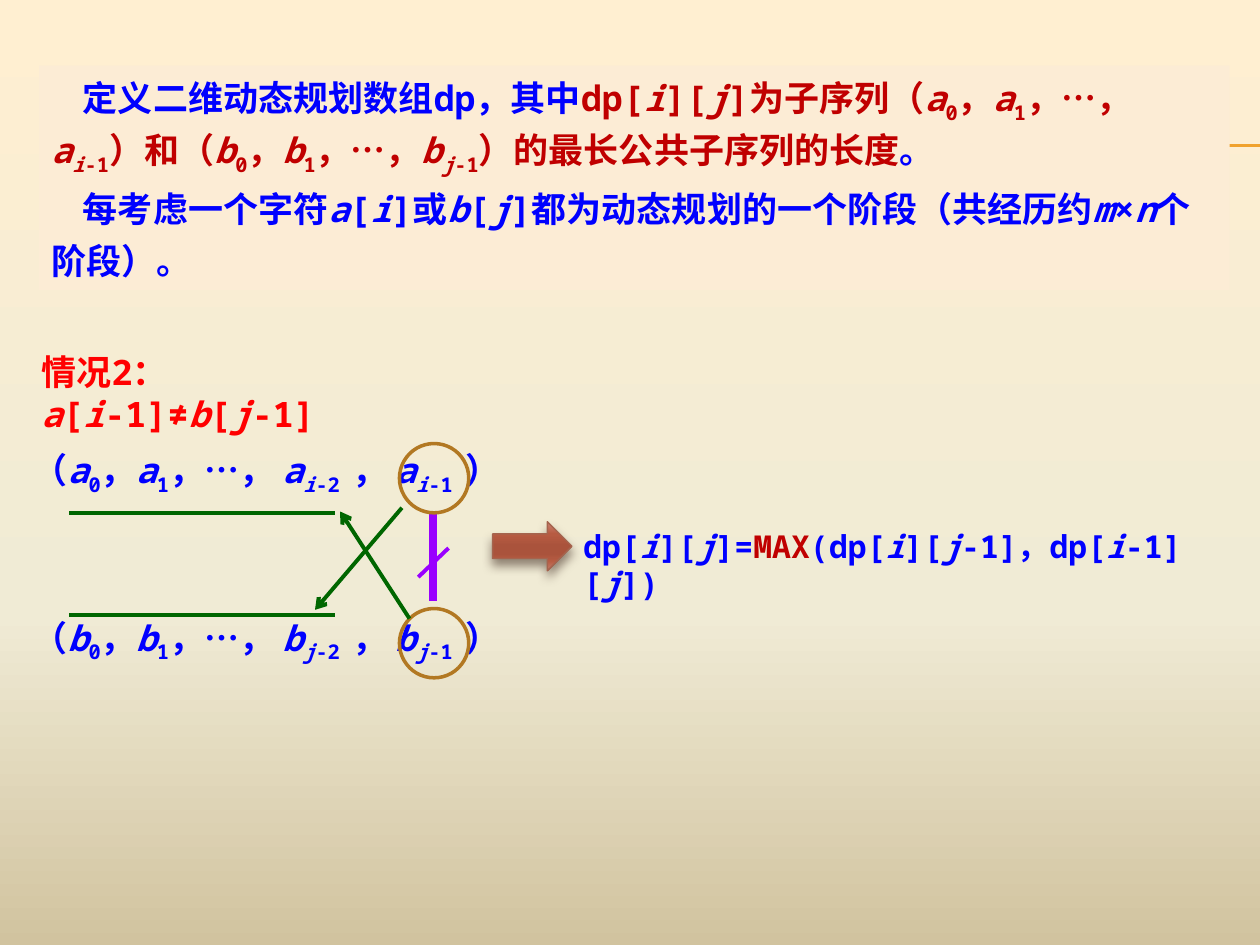
from lxml import etree
from pptx import Presentation
from pptx.dml.color import RGBColor
from pptx.enum.shapes import MSO_CONNECTOR, MSO_SHAPE
from pptx.enum.text import MSO_ANCHOR, MSO_AUTO_SIZE, PP_ALIGN
from pptx.oxml.ns import qn
from pptx.util import Inches, Pt

STRAIGHT = MSO_CONNECTOR.STRAIGHT
RECTANGLE, ELLIPSE, RIGHT_ARROW = MSO_SHAPE.RECTANGLE, MSO_SHAPE.OVAL, MSO_SHAPE.RIGHT_ARROW
TOP, LEFT, GROW = MSO_ANCHOR.TOP, PP_ALIGN.LEFT, MSO_AUTO_SIZE.SHAPE_TO_FIT_TEXT

BLUE = RGBColor(0x00, 0x00, 0xFF)
RED = RGBColor(0xFF, 0x00, 0x00)
DARK_RED = RGBColor(0xC0, 0x00, 0x00)
GREEN = RGBColor(0x00, 0x66, 0x00)
PURPLE = RGBColor(0x99, 0x00, 0xFF)
BROWN = RGBColor(0xB2, 0x78, 0x22)
ORANGE = RGBColor(0xF0, 0xA2, 0x2E)
CREAM = RGBColor(0xFC, 0xEC, 0xD5)
RUST = RGBColor(0xA5, 0x64, 0x4E)
SHADOW = RGBColor(0x4E, 0x3B, 0x30)
PAGE_STOPS = [(0, "FFEFD1"), (65, "F0EBD5"), (100, "D1C39F")]
ARROW_STOPS = [(0, "CD8473"), (25, "B75B42"), (50, "AA533C"),
               (65, "AA533C"), (80, "B65B42"), (100, "C77D6B")]

FONT = "Noto Sans Mono"
ITALIC, SUBSCRIPT, ACCENT = "~", "^", "|"


def set_values(target, values):
    for name, value in values.items():
        setattr(target, name, value)


def add_child(parent, tag, **attributes):
    return etree.SubElement(parent, qn(tag), attributes)


def set_gradient(fill, owner, stops):
    fill.gradient()
    fill.gradient_angle = 270
    stop_list = owner.find(".//" + qn("a:gsLst"))
    for stop in list(stop_list):
        stop_list.remove(stop)
    for position, color in stops:
        stop = add_child(stop_list, "a:gs", pos=str(position * 1000))
        add_child(stop, "a:srgbClr", val=color)


def add_span(para, text, marks, size, color):
    span = para.add_run()
    span.text = text
    set_values(span.font, {"name": FONT, "size": Pt(size), "bold": True,
                           "italic": ITALIC in marks})
    span.font.color.rgb = DARK_RED if ACCENT in marks else color
    if SUBSCRIPT in marks:
        span.font._element.set("baseline", "-25000")


def fill_para(para, markup, size, color):
    para.alignment = LEFT
    marks, text = set(), ""
    for letter in markup:
        if letter in (ITALIC, SUBSCRIPT, ACCENT):
            if text:
                add_span(para, text, marks, size, color)
            marks, text = marks ^ {letter}, ""
        else:
            text += letter
    if text:
        add_span(para, text, marks, size, color)


def add_text(page, box, markup, size, color):
    label = page.shapes.add_textbox(*map(Inches, box))
    set_values(label.text_frame, {"word_wrap": True, "auto_size": GROW})
    fill_para(label.text_frame.paragraphs[0], markup, size, color)


def add_line(page, start, end, color, width, arrow=False):
    line = page.shapes.add_connector(STRAIGHT, *map(Inches, start + end))
    line.line.color.rgb = color
    line.line.width = Pt(width)
    if arrow:
        add_child(line.line._get_or_add_ln(), "a:tailEnd", type="arrow")
    add_child(line._element.spPr, "a:effectLst")


def add_backdrop(page):
    set_gradient(page.background.fill, page._element, PAGE_STOPS)
    for y in (1.15, 1.16):
        add_line(page, (0.56, y), (10, y), ORANGE, 0.75)


def add_definition(page, box):
    panel = page.shapes.add_shape(RECTANGLE, *map(Inches, box))
    panel.shadow.inherit = False
    panel.fill.solid()
    panel.fill.fore_color.rgb = CREAM
    panel.line.fill.background()
    frame = panel.text_frame
    set_values(frame, {"word_wrap": True, "auto_size": GROW, "vertical_anchor": TOP})
    texts = [
        "定义二维动态规划数组dp，其中|dp[~i~][~j~]为子序列（~a~^0^，~a~^1^，…，~a^i~-1^）"
        "和（~b~^0^，~b~^1^，…，~b^j~-1^）的最长公共子序列的长度|。",
        "每考虑一个字符~a~[~i~]或~b~[~j~]都为动态规划的一个阶段"
        "（共经历约~m~×~n~个阶段）。",
    ]
    for number, text in enumerate(texts):
        para = frame.add_paragraph() if number else frame.paragraphs[0]
        para.line_spacing = Pt(30)
        para._p.get_or_add_pPr().set("indent", str(Inches(0.25)))
        fill_para(para, text, 20, BLUE)


def add_result(page, box):
    left, top, width, height = box
    arrow_width = 0.63
    arrow = page.shapes.add_shape(
        RIGHT_ARROW, *map(Inches, (left, top, arrow_width, 0.39)))
    set_gradient(arrow.fill, arrow._element, ARROW_STOPS)
    arrow.line.color.rgb = RUST
    arrow.line.width = Pt(0.79)
    effects = add_child(arrow._element.spPr, "a:effectLst")
    shadow = add_child(effects, "a:outerShdw", blurRad=str(Pt(6)), dist=str(Pt(4)),
                       dir="5400000", algn="ctr", rotWithShape="0")
    color = add_child(shadow, "a:srgbClr", val=str(SHADOW))
    add_child(color, "a:alpha", val="60000")
    add_text(page, (left + arrow_width - 0.01, top - 0.01, width - arrow_width, height),
             "dp[~i~][~j~]=|MAX|(dp[~i~][~j~-1]，dp[~i~-1][~j~])", 18, BLUE)


def add_sequence(page, box, markup, circle_top, line_y):
    left = box[0]
    add_text(page, box, markup, 20, BLUE)
    add_line(page, (left + 0.39, line_y), (left + 2.5, line_y), GREEN, 2.25)
    circle = page.shapes.add_shape(
        ELLIPSE, *map(Inches, (left + 3.01, circle_top, 0.55, 0.55)))
    circle.shadow.inherit = False
    circle.fill.background()
    circle.line.color.rgb = BROWN
    circle.line.width = Pt(2)


def add_comparison(page, box):
    left, top, width, height = box
    row_height = 0.44
    add_line(page, (left + 3.28, top + 0.55), (left + 3.28, top + 1.26), PURPLE, 4.5)
    add_line(page, (left + 3.16, top + 1.07), (left + 3.4, top + 0.84), PURPLE, 2.25)
    add_sequence(page, (left, top, width, row_height),
                 "（~a~^0^，~a~^1^，…， ~a^i~-2 ^， ~a^i~-1 ^）", top + 0.01, top + 0.56)
    add_sequence(page, (left, top + height - row_height, width, row_height),
                 "（~b~^0^，~b~^1^，…，~ b^j~-2 ^， ~b^j~-1 ^）", top + 1.32, top + 1.37)
    add_line(page, (left + 3.03, top + 0.52), (left + 2.34, top + 1.33), GREEN, 2.25, True)
    add_line(page, (left + 3.09, top + 1.4), (left + 2.54, top + 0.55), GREEN, 2.25, True)


def main():
    deck = Presentation()
    set_values(deck, {"slide_width": Inches(10), "slide_height": Inches(7.5)})
    page = deck.slides.add_slide(deck.slide_layouts[6])
    add_backdrop(page)
    add_definition(page, (0.31, 0.52, 9.45, 1.78))
    add_text(page, (0.23, 2.73, 3.28, 0.44), "情况2：~a~[~i~-1]≠~b~[~j~-1]", 20, RED)
    add_result(page, (3.91, 4.14, 5.94, 0.4))
    add_comparison(page, (0.16, 3.51, 3.91, 1.77))
    deck.save("out.pptx")


if __name__ == "__main__":
    main()
